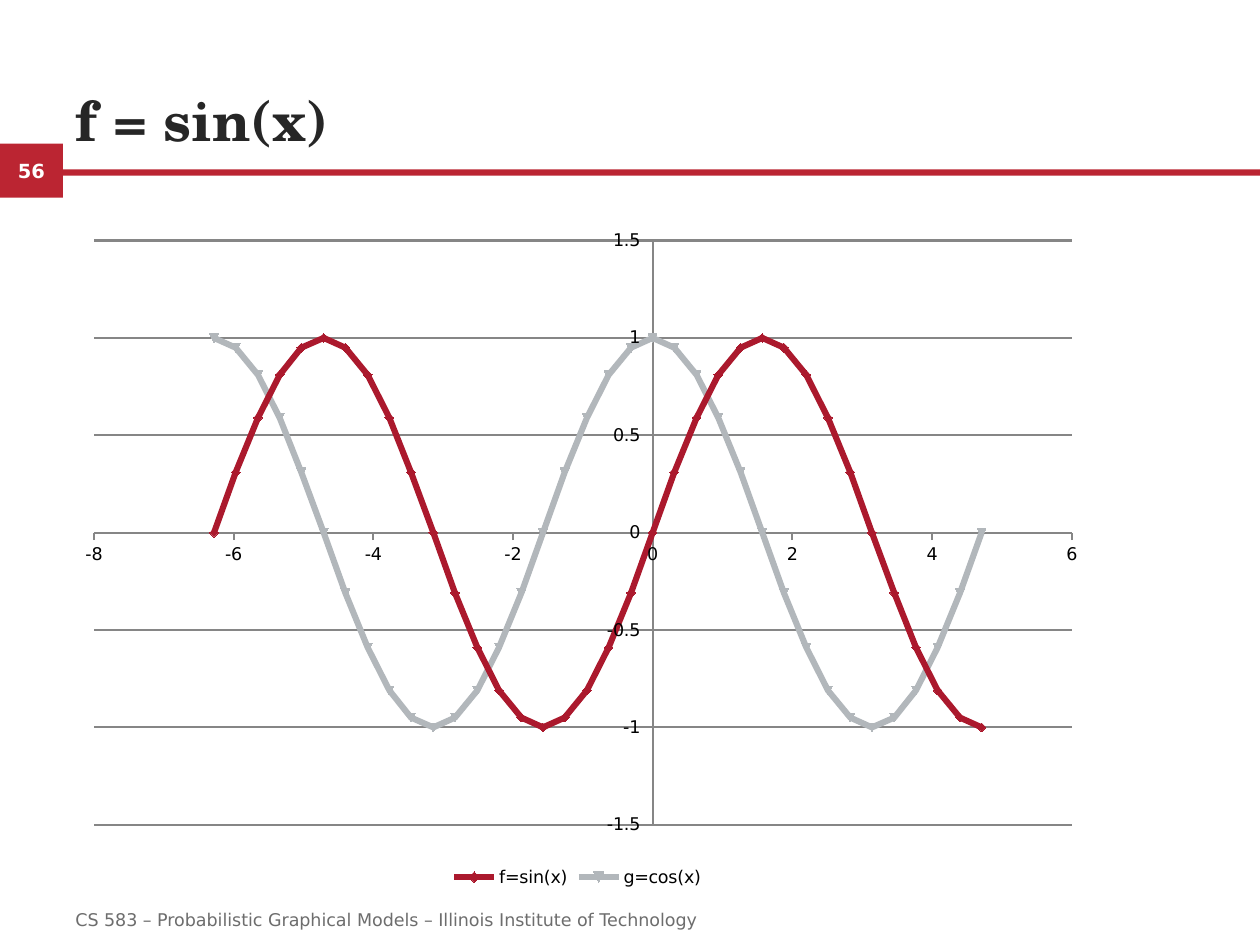
from math import cos, pi, sin
from lxml.etree import SubElement
from pptx import Presentation
from pptx.chart.data import XyChartData
from pptx.dml.color import RGBColor
from pptx.enum.chart import XL_CHART_TYPE, XL_LEGEND_POSITION, XL_TICK_MARK
from pptx.enum.shapes import MSO_SHAPE
from pptx.enum.text import MSO_ANCHOR, PP_ALIGN
from pptx.oxml.ns import qn
from pptx.util import Inches, Pt

HUES = {"band": "BB2532", "title": "262626", "foot": "6D6D6D", "page": "FFFFFF",
        "text": "000000", "grid": "868686", "sin": "AB192D", "cos": "B2B7BB"}
SANS = "DejaVu Sans"
LEFT = 0.5


def hue(name):
    return RGBColor.from_string(HUES[name])


def place(shape, box):
    shape.left, shape.top, shape.width, shape.height = map(Inches, box)


def write(shape, text, size, color, face=SANS, bold=False,
          anchor=MSO_ANCHOR.MIDDLE, align=PP_ALIGN.LEFT):
    frame = shape.text_frame
    frame.text = text
    frame.word_wrap = True
    frame.vertical_anchor = anchor
    line = frame.paragraphs[0]
    line.alignment = align
    font = line.runs[0].font
    font.size, font.name, font.bold = Pt(size), face, bold
    font.color.rgb = hue(color)


def add_bar(slide, box):
    bar = slide.shapes.add_shape(MSO_SHAPE.RECTANGLE, *map(Inches, box))
    bar.shadow.inherit = False
    bar.fill.solid()
    bar.fill.fore_color.rgb = hue("band")
    bar.line.fill.background()
    return bar


def add_band(slide, box, page):
    left, top, width, height = box
    badge = add_bar(slide, (left, top, LEFT, height))
    badge.text_frame.margin_left = badge.text_frame.margin_right = 0
    write(badge, page, 11.1, "page", bold=True, align=PP_ALIGN.CENTER)
    add_bar(slide, (left + LEFT, top + height / 2 - 0.01, width - LEFT, 0.05))


def add_title(slide, box, text):
    title = slide.shapes.title
    place(title, box)
    write(title, text, 32, "title", "TeX Gyre Schola", True, MSO_ANCHOR.BOTTOM)


def add_foot(slide, box, text):
    foot = slide.shapes.add_textbox(*map(Inches, box))
    write(foot, text, 10, "foot")


def rule(line):
    line.color.rgb = hue("grid")
    line.width = Pt(1.25)


def fit_plot(chart, shares):
    area = chart.plots[0]._element.getparent()
    for old in area.findall(qn("c:layout")):
        area.remove(old)
    layout = area.makeelement(qn("c:layout"))
    area.insert(0, layout)
    manual = SubElement(layout, qn("c:manualLayout"))
    pairs = [("layoutTarget", "inner"), ("xMode", "edge"), ("yMode", "edge")]
    for tag, val in pairs + list(zip("xywh", shares)):
        SubElement(manual, qn("c:" + tag)).set("val", str(val))


def add_waves(slide, box):
    data = XyChartData()
    waves = {"f=sin(x)": sin, "g=cos(x)": cos}
    for name, wave in waves.items():
        series = data.add_series(name)
        for step in range(-20, 16):
            x = step * pi / 10
            series.add_data_point(round(x, 2), round(wave(x), 2))
    chart = slide.shapes.add_chart(
        XL_CHART_TYPE.XY_SCATTER_SMOOTH, *map(Inches, box), data).chart
    chart.has_title = False
    chart.font.size, chart.font.name = Pt(10), SANS
    chart.font.color.rgb = hue("text")
    chart.has_legend = True
    chart.legend.position = XL_LEGEND_POSITION.BOTTOM
    chart.legend.include_in_layout = False
    fit_plot(chart, (0.03, 0.03, 0.95, 0.87))
    plot = chart.plots[0]
    plot.vary_by_categories = False
    for series, color in zip(plot.series, ("sin", "cos")):
        series.smooth = True
        series.format.line.color.rgb = hue(color)
        series.format.line.width = Pt(3.5)
        series.marker.size = 5
        fmt = series.marker.format
        fmt.fill.solid()
        fmt.fill.fore_color.rgb = hue(color)
        fmt.line.color.rgb = hue(color)
    scales = ((chart.category_axis, -8, 6, 2), (chart.value_axis, -1.5, 1.5, 0.5))
    for axis, low, high, unit in scales:
        axis.minimum_scale, axis.maximum_scale, axis.major_unit = low, high, unit
        axis.major_tick_mark = XL_TICK_MARK.OUTSIDE
        axis.minor_tick_mark = XL_TICK_MARK.NONE
        axis.tick_labels.number_format = "General"
        axis.tick_labels.number_format_is_linked = False
        rule(axis.format.line)
    chart.category_axis.has_major_gridlines = False
    rule(chart.value_axis.major_gridlines.format.line)


def main():
    deck = Presentation()
    wide, high = 10, 7.5
    deck.slide_width, deck.slide_height = Inches(wide), Inches(high)
    slide = deck.slides.add_slide(deck.slide_layouts[5])
    body = 8.17
    add_band(slide, (0, 1.14, wide, 0.43), "56")
    add_title(slide, (LEFT, 0.38, wide - 2 * LEFT, 0.88), "f = sin(x)")
    add_foot(slide, (LEFT, high - 0.4, body, 0.4),
             "CS 583 – Probabilistic Graphical Models – Illinois Institute of Technology")
    add_waves(slide, (LEFT, 1.75, body, 5.33))
    deck.save("out.pptx")


if __name__ == "__main__":
    main()
